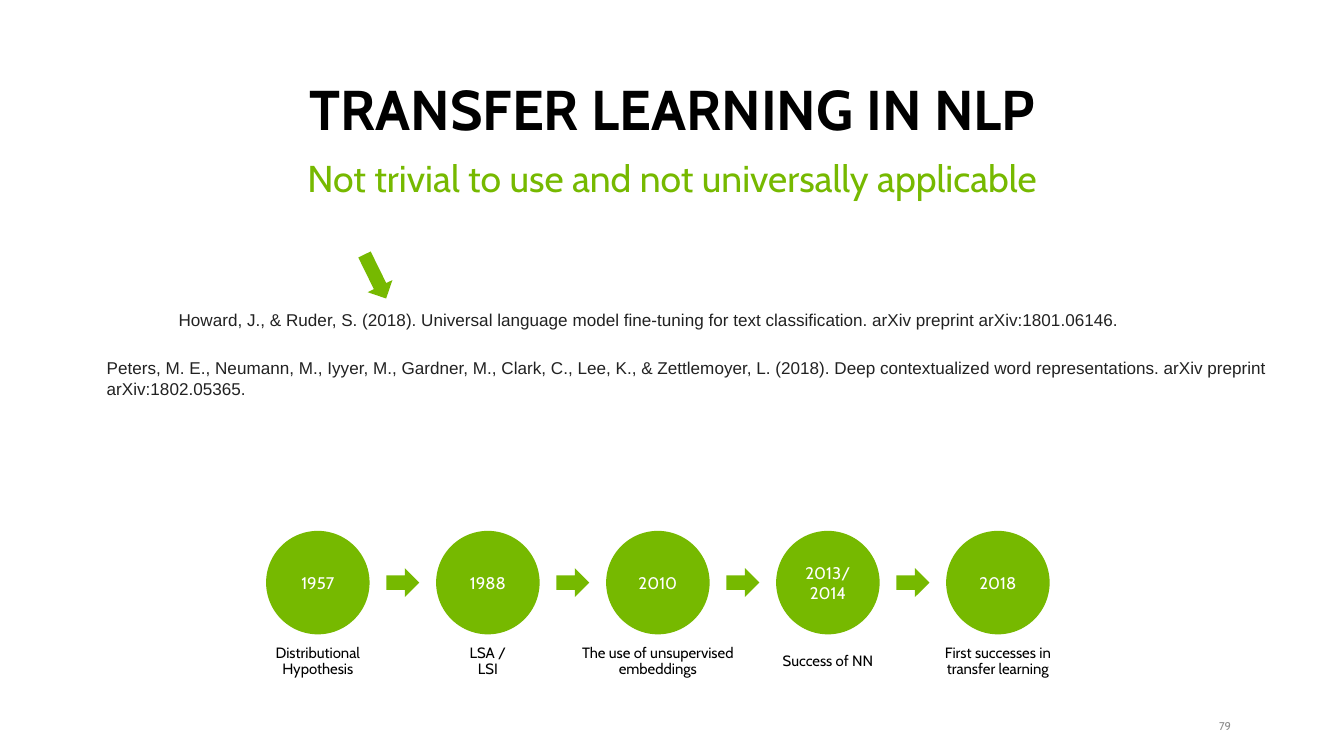
from dataclasses import dataclass

from pptx import Presentation
from pptx.dml.color import RGBColor
from pptx.enum.shapes import MSO_SHAPE
from pptx.enum.text import MSO_ANCHOR, PP_ALIGN
from pptx.util import Inches, Pt

OVAL, ARROW = MSO_SHAPE.OVAL, MSO_SHAPE.RIGHT_ARROW
LEFT, MID, RIGHT = PP_ALIGN.LEFT, PP_ALIGN.CENTER, PP_ALIGN.RIGHT
TOP, HALF, LOW = MSO_ANCHOR.TOP, MSO_ANCHOR.MIDDLE, MSO_ANCHOR.BOTTOM

HUES = {
    "green": "76B900",
    "black": "000000",
    "white": "FFFFFF",
    "ink": "222222",
    "grey": "8C8C8C",
}

# Timeline grid, in inches: centre of the first column, pitch, row centres
WIDE, HIGH = 20, 11.25
START, PITCH = 4.73, 2.53
ROW, NOTE = 8.67, 9.84
DISC = 1.54


@dataclass
class Box:
    x: float
    y: float
    w: float
    h: float

    def emu(self) -> list:
        return [Inches(v) for v in (self.x, self.y, self.w, self.h)]


@dataclass
class Step:
    year: str
    label: str
    width: float


STEPS = [
    Step("1957", "Distributional\nHypothesis", 1.64),
    Step("1988", "LSA /\nLSI", 1.09),
    Step("2010", "The use of unsupervised\nembeddings", 2.7),
    Step("2013/\n2014", "Success of NN", 1.59),
    Step("2018", "First successes in\ntransfer learning", 2),
]


def around(x: float, y: float, w: float, h: float) -> Box:
    """Box with its centre at x, y."""
    return Box(x - w / 2, y - h / 2, w, h)


def column(i: float) -> float:
    return START + i * PITCH


def write(shape, text: str, *, size: float, hue: str, face: str = "Cabin",
          bold: bool = False, align=MID, anchor=HALF, line: float = 1,
          wrap: bool = True, inset: tuple = (0.1, 0.05)) -> None:
    frame = shape.text_frame
    frame.word_wrap = wrap
    frame.vertical_anchor = anchor
    frame.margin_left = frame.margin_right = Inches(inset[0])
    frame.margin_top = frame.margin_bottom = Inches(inset[1])
    frame.text = text
    for para in frame.paragraphs:
        para.alignment = align
        para.line_spacing = line
        font = para.font
        font.name, font.size, font.bold = face, Pt(size), bold
        font.color.rgb = RGBColor.from_string(HUES[hue])


def note(slide, box: Box, text: str, **style) -> None:
    write(slide.shapes.add_textbox(*box.emu()), text, **style)


def solid(slide, kind, box: Box, turn: float = 0):
    shape = slide.shapes.add_shape(kind, *box.emu())
    shape.shadow.inherit = False
    shape.fill.solid()
    shape.fill.fore_color.rgb = RGBColor.from_string(HUES["green"])
    shape.line.fill.background()
    shape.rotation = turn
    return shape


def main() -> None:
    deck = Presentation()
    deck.slide_width, deck.slide_height = Inches(WIDE), Inches(HIGH)
    slide = deck.slides.add_slide(deck.slide_layouts[6])

    # Headings
    note(slide, Box(1.38, 0, 17.25, 2.17), "TRANSFER LEARNING IN NLP",
         size=60, hue="black", bold=True, anchor=LOW, line=0.9)
    note(slide, Box(0.91, 2.3, 18.18, 0.96),
         "Not trivial to use and not universally applicable",
         size=40, hue="green", anchor=TOP, line=0.9, inset=(0.17, 0.08))

    # References
    cite = dict(size=18.3, hue="ink", face="Arial", align=LEFT, anchor=TOP)
    note(slide, Box(2.56, 4.55, 17.23, 0.41),
         "Howard, J., & Ruder, S. (2018). Universal language model fine-tuning "
         "for text classification. arXiv preprint arXiv:1801.06146.", **cite)
    note(slide, Box(1.49, 5.27, 18.4, 0.72),
         "Peters, M. E., Neumann, M., Iyyer, M., Gardner, M., Clark, C., "
         "Lee, K., & Zettlemoyer, L. (2018). Deep contextualized word "
         "representations. arXiv preprint arXiv:1802.05365.", **cite)
    solid(slide, ARROW, Box(5.22, 3.91, 0.73, 0.41), turn=63.8)

    # Timeline
    for i, step in enumerate(STEPS):
        disc = solid(slide, OVAL, around(column(i), ROW, DISC, DISC))
        write(disc, step.year, size=18, hue="white")
        tall = 0.34 if "\n" not in step.label else 0.59
        note(slide, around(column(i), NOTE, step.width, tall), step.label,
             size=16, hue="black", line=0.9, wrap=False)
        if i < len(STEPS) - 1:
            solid(slide, ARROW, around(column(i + 0.5), ROW, 0.49, 0.43))

    # Page number
    note(slide, Box(17.73, 10.71, 0.59, 0.2), "79",
         size=12, hue="grey", align=RIGHT, inset=(0, 0))

    deck.save("out.pptx")


if __name__ == "__main__":
    main()
